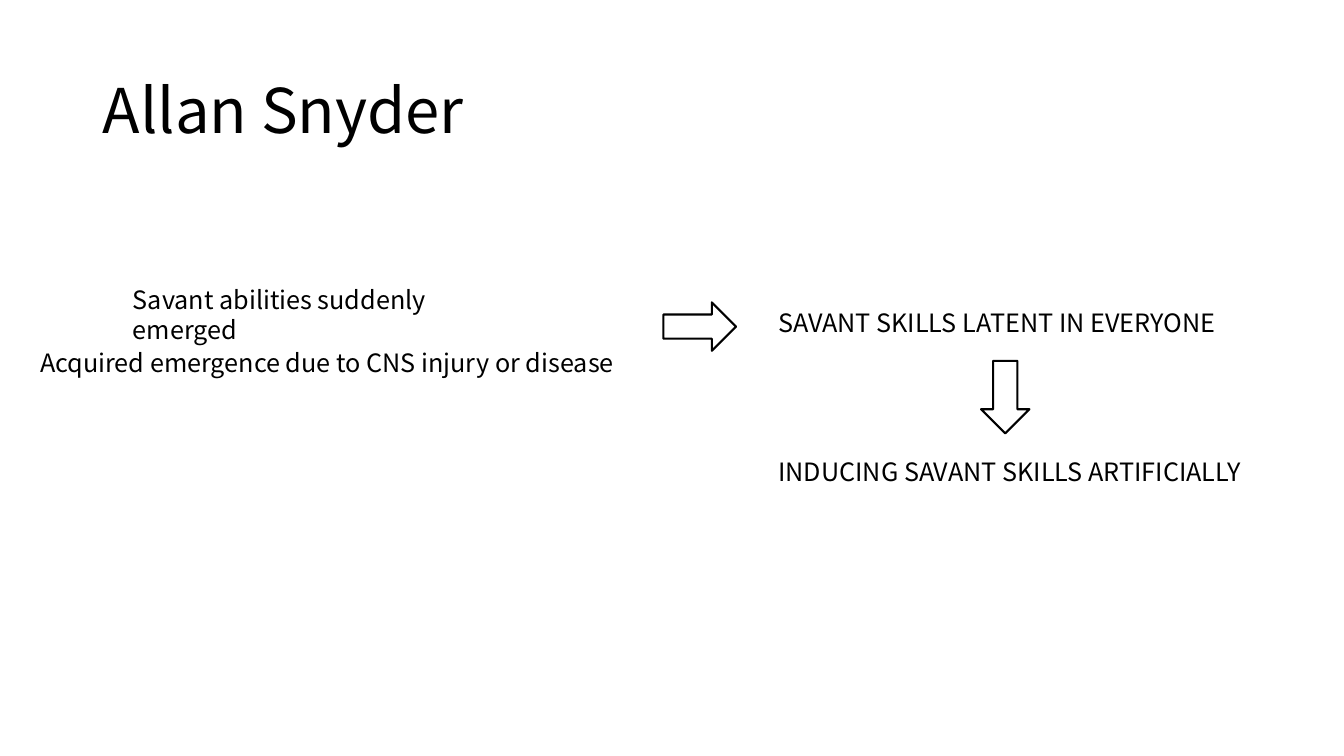
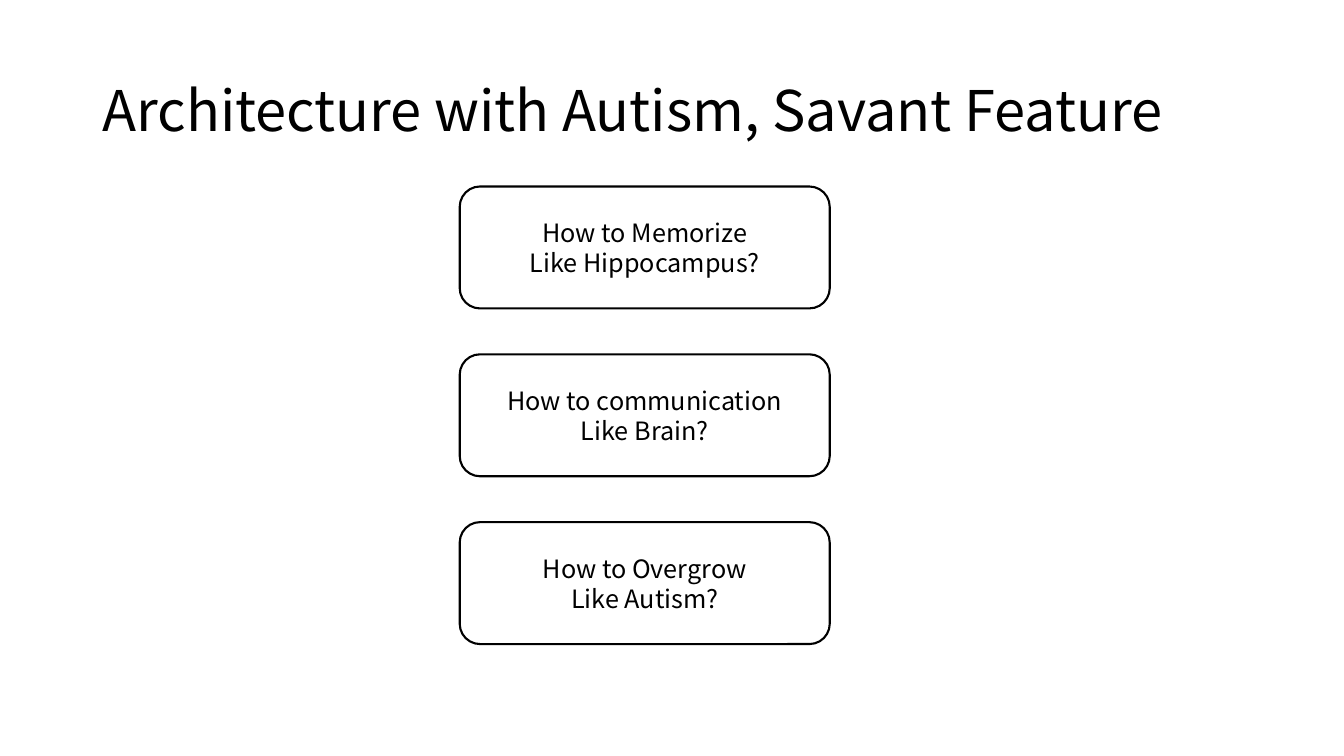
from dataclasses import dataclass

from pptx import Presentation
from pptx.dml.color import RGBColor
from pptx.enum.shapes import MSO_SHAPE
from pptx.enum.text import MSO_ANCHOR, MSO_AUTO_SIZE, PP_ALIGN
from pptx.shapes.autoshape import Shape
from pptx.slide import Slide
from pptx.text.text import TextFrame
from pptx.util import Inches, Pt

ARROW = MSO_SHAPE.RIGHT_ARROW
ROUND = MSO_SHAPE.ROUNDED_RECTANGLE
MIDDLE = MSO_ANCHOR.MIDDLE
GROW = MSO_AUTO_SIZE.SHAPE_TO_FIT_TEXT
CENTER = PP_ALIGN.CENTER
LEFT = PP_ALIGN.LEFT

FONT = "Noto Sans CJK KR"
COLORS = {"ink": "000000", "paper": "FFFFFF"}
BODY = 18


@dataclass(frozen=True)
class Box:
    left: float
    top: float
    width: float
    height: float

    def place(self) -> tuple[Inches, Inches, Inches, Inches]:
        return (Inches(self.left), Inches(self.top),
                Inches(self.width), Inches(self.height))


@dataclass(frozen=True)
class Note:
    text: str
    left: float
    top: float
    width: float


@dataclass(frozen=True)
class Arrow:
    left: float
    top: float
    turn: int


TITLE = Box(0.92, 0.4, 11.5, 1.45)
CARD = Box(4.56, 1.85, 3.67, 1.21)
LAST = 5.18

NOTES = [
    Note("Savant abilities suddenly emerged", 1.22, 2.77, 4.11),
    Note("Acquired emergence due to CNS injury or disease", 0.3, 3.4, 5.96),
    Note("SAVANT SKILLS LATENT IN EVERYONE", 7.62, 3, 4.71),
    Note("INDUCING SAVANT SKILLS ARTIFICIALLY", 7.62, 4.48, 5.01),
]
ARROWS = [Arrow(6.58, 3, 0), Arrow(9.61, 3.7, 90)]
CARDS = [
    "How to Memorize\nLike Hippocampus?",
    "How to communication\nLike Brain?",
    "How to Overgrow\nLike Autism?",
]


def color(name: str) -> RGBColor:
    return RGBColor.from_string(COLORS[name])


def write(frame: TextFrame, text: str, size: int,
          align: PP_ALIGN = LEFT, space: float = 1.0) -> None:
    frame.word_wrap = True
    frame.text = text
    for para in frame.paragraphs:
        para.alignment = align
        para.line_spacing = space
        for run in para.runs:
            run.font.name = FONT
            run.font.size = Pt(size)
            run.font.color.rgb = color("ink")


def add_title(slide: Slide, text: str, size: int) -> None:
    frame = slide.shapes.add_textbox(*TITLE.place()).text_frame
    frame.vertical_anchor = MIDDLE
    write(frame, text, size, space=0.9)


def add_note(slide: Slide, note: Note) -> None:
    box = Box(note.left, note.top, note.width, 0.4)
    frame = slide.shapes.add_textbox(*box.place()).text_frame
    write(frame, note.text, BODY)
    frame.auto_size = GROW


def add_shape(slide: Slide, kind: MSO_SHAPE, box: Box) -> Shape:
    shape = slide.shapes.add_shape(kind, *box.place())
    shape.shadow.inherit = False
    shape.fill.solid()
    shape.fill.fore_color.rgb = color("paper")
    shape.line.color.rgb = color("ink")
    shape.line.width = Pt(1.5)
    return shape


def add_arrow(slide: Slide, arrow: Arrow) -> None:
    box = Box(arrow.left, arrow.top, 0.72, 0.48)
    add_shape(slide, ARROW, box).rotation = arrow.turn


def add_card(slide: Slide, text: str, top: float) -> None:
    box = Box(CARD.left, top, CARD.width, CARD.height)
    frame = add_shape(slide, ROUND, box).text_frame
    frame.vertical_anchor = MIDDLE
    write(frame, text, BODY, CENTER)


def main() -> None:
    deck = Presentation()
    deck.slide_width = Inches(13.33)
    deck.slide_height = Inches(7.5)
    blank = deck.slide_layouts[6]

    slide = deck.slides.add_slide(blank)
    add_title(slide, "Allan Snyder", 44)
    for note in NOTES:
        add_note(slide, note)
    for arrow in ARROWS:
        add_arrow(slide, arrow)

    slide = deck.slides.add_slide(blank)
    add_title(slide, "Architecture with Autism, Savant Feature", 40)
    step = (LAST - CARD.top) / (len(CARDS) - 1)
    for row, text in enumerate(CARDS):
        add_card(slide, text, CARD.top + row * step)

    deck.save("out.pptx")


if __name__ == "__main__":
    main()
